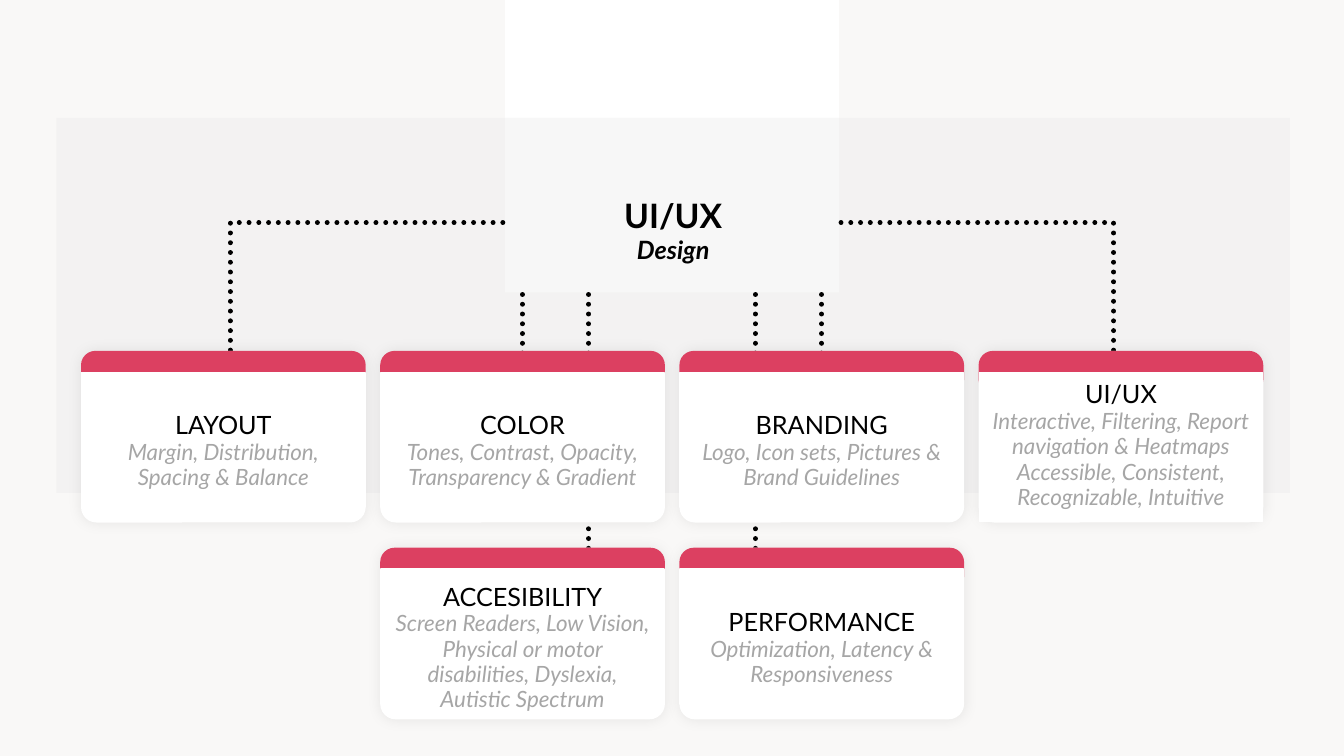
from lxml import etree
from pptx import Presentation
from pptx.dml.color import RGBColor
from pptx.enum.dml import MSO_LINE
from pptx.enum.shapes import MSO_CONNECTOR, MSO_SHAPE
from pptx.enum.text import MSO_ANCHOR, PP_ALIGN
from pptx.oxml.ns import qn
from pptx.util import Cm, Pt

SLIDE_W, SLIDE_H = 33.87, 19.05
CENTER = SLIDE_W / 2
BLACK, WHITE, GREY, ROSE = "000000", "FFFFFF", "A6A6A6", "DC4061"

CARD_LEFT, CARD_TOP = 2.06, 8.86
COLUMN_PITCH, ROW_PITCH = 7.54, 4.96
CARD_W, CARD_H = 7.14, 4.29
CARDS = [
    (0, 0, "LAYOUT", ["Margin, Distribution, Spacing & Balance"]),
    (0, 1, "COLOR", ["Tones, Contrast, Opacity, Transparency & Gradient"]),
    (0, 2, "BRANDING", ["Logo, Icon sets, Pictures & Brand Guidelines"]),
    (0, 3, "UI/UX", ["Interactive, Filtering, Report navigation & Heatmaps",
                     "Accessible, Consistent, Recognizable, Intuitive"]),
    (1, 1, "ACCESIBILITY", ["Screen Readers, Low Vision, Physical or motor "
                            "disabilities, Dyslexia, Autistic Spectrum"]),
    (1, 2, "PERFORMANCE", ["Optimization, Latency & Responsiveness"]),
]


def paint(color_format, value):
    color_format.rgb = RGBColor.from_string(value)


def add_block(slide, box, color, radius=0, outlined=False):
    kind = MSO_SHAPE.ROUNDED_RECTANGLE if radius else MSO_SHAPE.RECTANGLE
    shape = slide.shapes.add_shape(kind, *map(Cm, box))
    if radius:
        shape.adjustments[0] = radius
    shape.shadow.inherit = False
    shape.fill.solid()
    paint(shape.fill.fore_color, color)
    if outlined:
        shape.line.width = Pt(1)
        paint(shape.line.color, color)
    else:
        shape.line.fill.background()
    return shape


def set_alpha(parent, percent):
    color = parent.find(".//" + qn("a:srgbClr"))
    etree.SubElement(color, qn("a:alpha"), val=str(percent * 1000))


def add_glow_shadow(shape):
    effects = shape._element.spPr.find(qn("a:effectLst"))
    shadow = etree.SubElement(effects, qn("a:outerShdw"), blurRad=str(Pt(10)),
                              dist="0", dir="0", algn="ctr", rotWithShape="0")
    etree.SubElement(shadow, qn("a:srgbClr"), val=BLACK)
    set_alpha(effects, 7)


def write_lines(frame, lines, spacing=None):
    frame.word_wrap = True
    for index, (text, size, color, bold, italic) in enumerate(lines):
        paragraph = frame.paragraphs[0] if index == 0 else frame.add_paragraph()
        paragraph.alignment = PP_ALIGN.CENTER
        if spacing:
            paragraph.line_spacing = Pt(spacing)
        run = paragraph.add_run()
        run.text = text
        font = run.font
        font.name, font.size, font.bold, font.italic = "Lato", Pt(size), bold, italic
        paint(font.color, color)


def add_dotted(slide, start, end, bend=None):
    kind = MSO_CONNECTOR.ELBOW if bend else MSO_CONNECTOR.STRAIGHT
    connector = slide.shapes.add_connector(kind, *map(Cm, start + end))
    connector.line.width = Pt(3.5)
    paint(connector.line.color, BLACK)
    connector.line.dash_style = MSO_LINE.ROUND_DOT
    properties = connector._element.spPr
    properties.find(qn("a:ln")).set("cap", "rnd")
    etree.SubElement(properties, qn("a:effectLst"))
    if bend:
        guides = properties.find(qn("a:prstGeom")).find(qn("a:avLst"))
        etree.SubElement(guides, qn("a:gd"), name="adj1", fmla=f"val {bend}")


def add_header(slide, tower, band):
    add_block(slide, tower, WHITE)
    panel = add_block(slide, band, "EAEAEA")
    set_alpha(panel._element.spPr, 36)
    frame = panel.text_frame
    frame.vertical_anchor = MSO_ANCHOR.TOP
    frame.margin_top = Cm(1.93)
    write_lines(frame, [("UI/UX", 24, BLACK, True, False),
                        ("Design", 18, BLACK, True, True)])


def add_branches(slide, center, top):
    for side in (-1, 1):
        add_dotted(slide, (center + side * 2.1, top), (center + side * 2.1, top + 10.06))
    for side in (-1, 1):
        add_dotted(slide, (center + side * 4.26, top - 1.81),
                   (center + side * 13.78, top + 2.11), bend=72200)
    for side in (-1, 1):
        add_dotted(slide, (center + side * 3.77, top), (center + side * 3.77, top + 2))


def add_card(slide, box, title, details):
    left, top, width, height = box
    base = add_block(slide, box, WHITE, 0.087, outlined=True)
    add_glow_shadow(base)
    add_block(slide, (left, top, width, 1.04), ROSE, 0.328, outlined=True)
    tall = len(details) > 1
    body_h = height - (0.53 if tall else 0.89)
    body = add_block(slide, (left, top + 0.52, width, body_h), WHITE, outlined=True)
    frame = body.text_frame
    frame.vertical_anchor = MSO_ANCHOR.MIDDLE
    frame.margin_top = Cm(0.76)
    frame.margin_bottom = Cm(0.76 if tall else 0.13)
    write_lines(frame, [(title, 18, BLACK, False, False)]
                + [(text, 16, GREY, False, True) for text in details], spacing=18)


def build_design_map(presentation):
    slide = presentation.slides.add_slide(presentation.slide_layouts[6])
    slide.background.fill.solid()
    paint(slide.background.fill.fore_color, "F9F8F7")
    add_header(slide, (12.73, 0, 8.41, 7.37), (1.42, 2.97, 31.09, 9.45))
    add_branches(slide, CENTER, 7.42)
    for row, column, title, details in CARDS:
        box = (CARD_LEFT + column * COLUMN_PITCH, CARD_TOP + row * ROW_PITCH,
               CARD_W, CARD_H)
        add_card(slide, box, title, details)


presentation = Presentation()
presentation.slide_width, presentation.slide_height = Cm(SLIDE_W), Cm(SLIDE_H)
build_design_map(presentation)
presentation.save("out.pptx")
